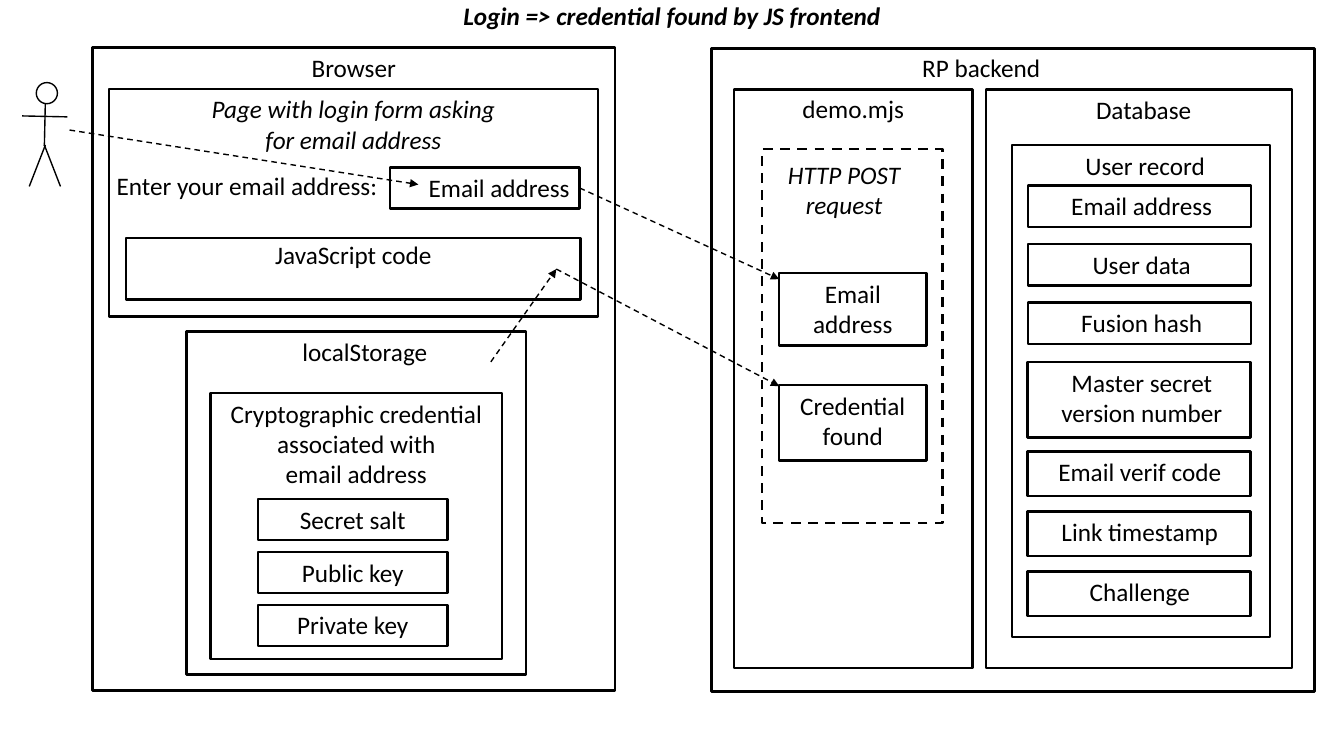
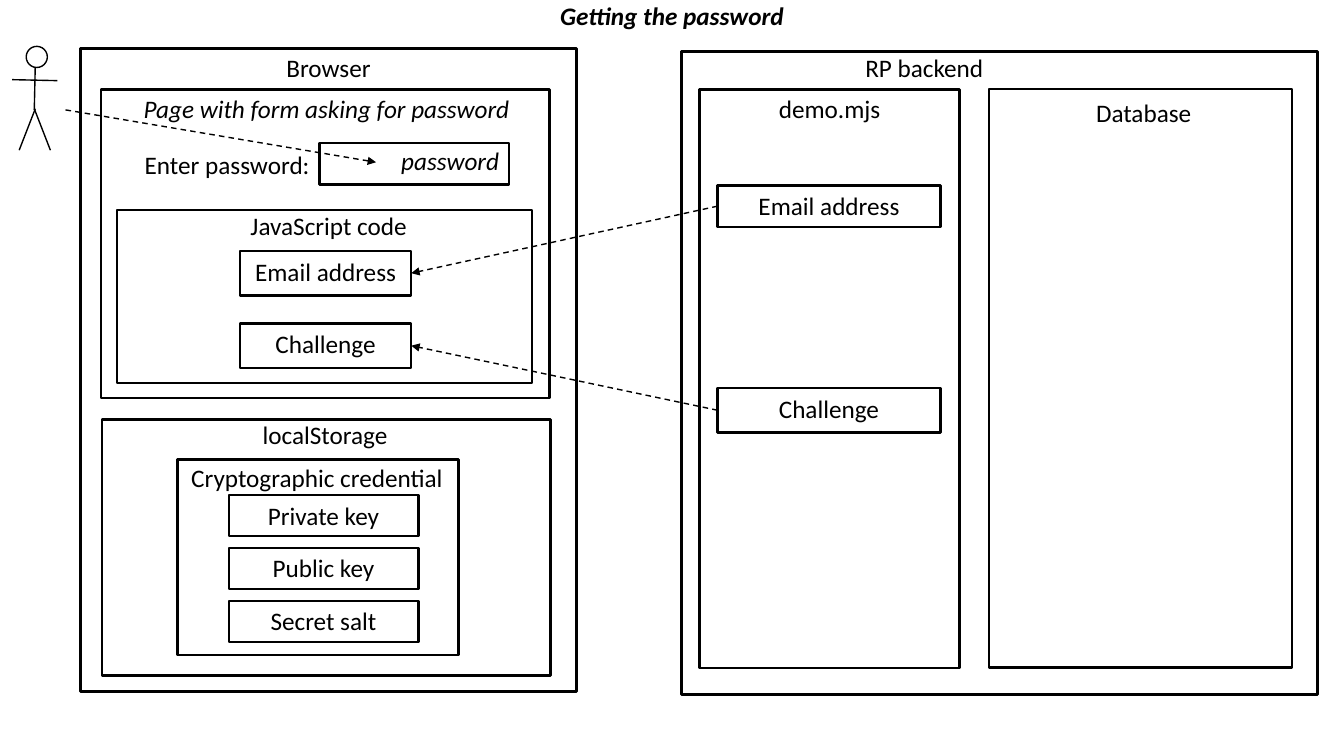
from pptx import Presentation
from pptx.dml.color import RGBColor
from pptx.enum.dml import MSO_LINE
from pptx.enum.shapes import MSO_CONNECTOR, MSO_SHAPE
from pptx.enum.text import MSO_ANCHOR, PP_ALIGN
from pptx.oxml.ns import qn
from pptx.util import Pt
from lxml.etree import SubElement

BLACK = RGBColor(0, 0, 0)
WHITE = RGBColor(255, 255, 255)
FONT = "Calibri"
FONT_SIZE = 18
BOX_LINE = 1.75
THIN_LINE = 1
SIDE_INSET = 7.2
TOP_INSET = 3.6
HEAD_SIZE = 15.1
LIMBS = [
    ((6.5, 13), (5.8, 45.4)),
    ((6.5, 44.6), (-5, 74.2)),
    ((5.8, 44.6), (17.3, 74.2)),
    ((-10.1, 23.8), (22.3, 24.5)),
]
LEFT_SIDE, RIGHT_SIDE = 1, 3


def box(text, left, top, width, height, **style):
    return {"text": text, "frame": (left, top, width, height), **style}


def stack(texts, left, top, width, height, pitch, **style):
    return [box(text, left, top + index * pitch, width, height, **style)
            for index, text in enumerate(texts)]


SLIDES = [
    {
        "title": "Login => credential found by JS frontend",
        "user": (25.9, 59),
        "boxes": [
            box("Browser", 66.2, 33.8, 373, 459.4),
            box("Page with login form asking for email address",
                77.8, 63.4, 349.2, 162.7, pad=58.7, italic=True),
            box("Email address", 278.6, 119.5, 135.4, 29.5,
                align=PP_ALIGN.RIGHT, name="email field"),
            box("JavaScript code", 90, 169.9, 324.7, 43.9, drop=-2.9),
            box("localStorage", 133.2, 236.9, 242.6, 244.8, shift=6.1),
            box("Cryptographic credential associated with\nemail address",
                150.5, 280.8, 208.1, 190.1),
            *stack(["Secret salt", "Public key", "Private key"],
                   184.3, 356.4, 135.4, 29.5, 37.8),
            box("RP backend", 508.3, 34.6, 430.6, 459.4, shift=-22.7, drop=-0.7),
            box("demo.mjs", 524.2, 64.1, 170.6, 413.3, drop=-0.7),
            box("HTTP POST request", 544.3, 106.6, 128.9, 267.1,
                shift=-5.8, drop=3.6, italic=True, dashed=True),
            box("Email\naddress", 556.6, 195.1, 105.1, 51.8),
            box("Credential found", 556.6, 275, 105.1, 54),
            box("Database", 704.2, 64.1, 218.9, 413.3, shift=3.2),
            box("User record", 722.9, 103.7, 184.3, 351.4, shift=2.9),
            *stack(["Email address", "User data", "Fusion hash"],
                   734.4, 132.5, 159.1, 29.5, 41.8, shift=1.5),
            box("Master secret version number", 734, 258.5, 159.1, 54, shift=2),
            *stack(["Email verif code", "Link timestamp", "Challenge"],
                   734, 322.6, 159.1, 31.7, 42.8, shift=0.5),
        ],
        "prompt": ("Enter your email address:", 72.7, 118.1, 207.4, PP_ALIGN.CENTER),
        "arrows": [
            ((49.7, 92.9), (298.8, 131.8)),
            (("email field", RIGHT_SIDE), (556.6, 199.4)),
            ((350.6, 258.5), (397.4, 192.2)),
            ((397.4, 192.2), (556.6, 275.8)),
        ],
    },
    {
        "title": "Getting the password",
        "user": (18.7, 33.1),
        "boxes": [
            box("Browser", 57.6, 34.6, 354.2, 459.4, drop=-0.7),
            box("Page with form asking for password",
                72, 64.1, 320.4, 220.3, shift=1, drop=-0.7, italic=True),
            box("password", 228.2, 102.2, 135.4, 29.5, drop=-2.2,
                align=PP_ALIGN.RIGHT, italic=True),
            box("JavaScript code", 83.5, 149.8, 296.6, 123.8, shift=2.9, drop=-2.9),
            box("Email address", 171.4, 179.3, 122.4, 31.7, name="browser email"),
            box("Challenge", 171.4, 231.1, 122.4, 31.7, name="browser challenge"),
            box("localStorage", 72.7, 299.5, 320.4, 182.9, shift=-0.7, drop=-3.6),
            box("Cryptographic credential", 126.7, 328.3, 200.9, 139.7,
                shift=-0.7, drop=-1.4),
            *stack(["Private key", "Public key", "Secret salt"],
                   163.4, 353.5, 135.4, 29.5, 37.8),
            box("RP backend", 486.7, 36.7, 454.3, 459.4, shift=-53.6, drop=-2.9),
            box("demo.mjs", 499.7, 64.1, 185.8, 413.3, drop=-0.7),
            box("Email address", 512.6, 132.5, 159.1, 29.5, name="backend email"),
            box("Challenge", 512.6, 277.2, 159.1, 31.7, name="backend challenge"),
            box("Database", 706.3, 63.4, 216.7, 413.3, shift=2.2, drop=2.2),
        ],
        "prompt": ("Enter password:", 75.6, 103, 152.6, PP_ALIGN.RIGHT),
        "arrows": [
            ((46.8, 78.5), (268.6, 115.9)),
            (("backend email", LEFT_SIDE), ("browser email", RIGHT_SIDE)),
            (("backend challenge", LEFT_SIDE), ("browser challenge", RIGHT_SIDE)),
        ],
    },
]


def points(values):
    return [Pt(value) for value in values]


def write(text_frame, text, align, bold=False, italic=False):
    text_frame.word_wrap = True
    text_frame.text = text
    for paragraph in text_frame.paragraphs:
        paragraph.alignment = align
        font = paragraph.font
        font.name, font.size = FONT, Pt(FONT_SIZE)
        font.bold, font.italic = bold, italic
        font.color.rgb = BLACK


def set_line(line, width, dashed=False):
    line.color.rgb = BLACK
    line.width = Pt(width)
    if dashed:
        line.dash_style = MSO_LINE.DASH


def add_title(slide, text):
    title = slide.shapes.title
    title.left, title.top, title.width, title.height = points((66, -6.5, 828, 38.2))
    title.text_frame.vertical_anchor = MSO_ANCHOR.MIDDLE
    write(title.text_frame, text, PP_ALIGN.CENTER, bold=True, italic=True)
    title.text_frame.paragraphs[0].line_spacing = 0.9


def add_box(slide, text, frame, shift=0, drop=0, pad=0, align=PP_ALIGN.CENTER,
            italic=False, dashed=False, name=None):
    shape = slide.shapes.add_shape(MSO_SHAPE.RECTANGLE, *points(frame))
    shape.shadow.inherit = False
    shape.fill.background()
    set_line(shape.line, BOX_LINE, dashed)
    text_frame = shape.text_frame
    text_frame.vertical_anchor = MSO_ANCHOR.TOP
    text_frame.margin_left = Pt(SIDE_INSET + pad + max(0, 2 * shift))
    text_frame.margin_right = Pt(SIDE_INSET + pad + max(0, -2 * shift))
    text_frame.margin_top = Pt(TOP_INSET + drop)
    text_frame.margin_bottom = 0
    write(text_frame, text, align, italic=italic)
    return shape


def add_line(shapes, start, end, dashed=False):
    connector = shapes.add_connector(MSO_CONNECTOR.STRAIGHT, *points(start + end))
    set_line(connector.line, THIN_LINE, dashed)
    SubElement(connector._element.spPr, qn("a:effectLst"))
    return connector


def add_arrow(slide, start, end, named_boxes):
    joins = [isinstance(target[0], str) for target in (start, end)]
    connector = add_line(slide.shapes, (0, 0) if joins[0] else start,
                         (0, 0) if joins[1] else end, dashed=True)
    if joins[0]:
        connector.begin_connect(named_boxes[start[0]], start[1])
    if joins[1]:
        connector.end_connect(named_boxes[end[0]], end[1])
    SubElement(connector.line._get_or_add_ln(), qn("a:tailEnd"), type="triangle")


def add_user(slide, left, top):
    group = slide.shapes.add_group_shape()
    for start, end in LIMBS:
        add_line(group.shapes, (left + start[0], top + start[1]),
                 (left + end[0], top + end[1]))
    head = group.shapes.add_shape(
        MSO_SHAPE.OVAL, *points((left, top, HEAD_SIZE, HEAD_SIZE)))
    head.shadow.inherit = False
    head.fill.solid()
    head.fill.fore_color.rgb = WHITE
    set_line(head.line, THIN_LINE)


def add_prompt(slide, text, left, top, width, align):
    text_box = slide.shapes.add_textbox(*points((left, top, width, 28.8)))
    write(text_box.text_frame, text, align)


def build_slide(presentation, content):
    slide = presentation.slides.add_slide(presentation.slide_layouts[5])
    add_title(slide, content["title"])
    named_boxes = {}
    for item in content["boxes"]:
        shape = add_box(slide, **item)
        if "name" in item:
            named_boxes[item["name"]] = shape
    add_prompt(slide, *content["prompt"])
    add_user(slide, *content["user"])
    for start, end in content["arrows"]:
        add_arrow(slide, start, end, named_boxes)


def main():
    presentation = Presentation()
    presentation.slide_width, presentation.slide_height = Pt(960), Pt(540)
    for content in SLIDES:
        build_slide(presentation, content)
    presentation.save("out.pptx")


if __name__ == "__main__":
    main()
